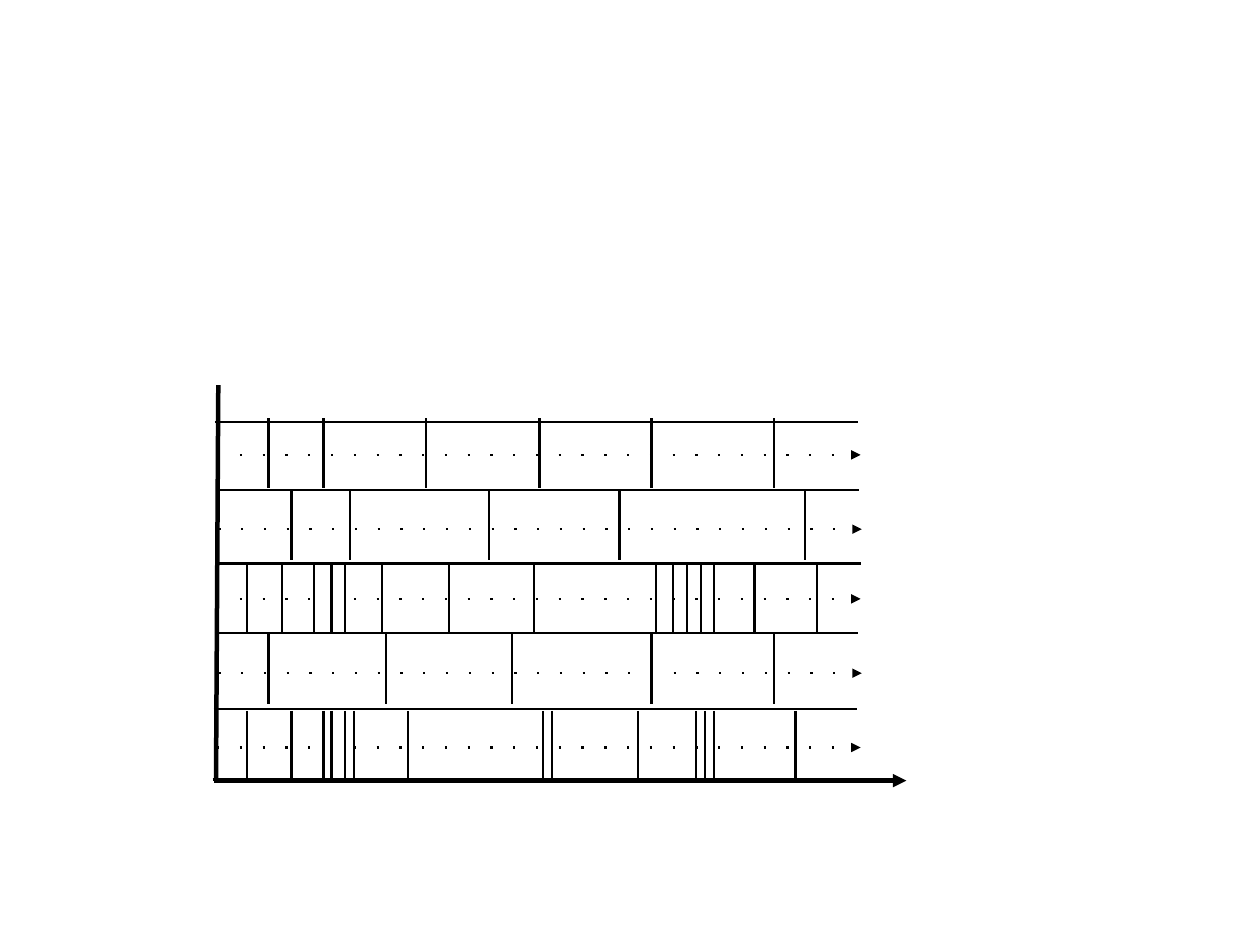
from dataclasses import dataclass
from typing import NamedTuple

from lxml import etree
from pptx import Presentation
from pptx.dml.color import RGBColor
from pptx.enum.shapes import MSO_CONNECTOR
from pptx.oxml.ns import qn
from pptx.slide import Slide
from pptx.util import Cm, Inches, Pt

STRAIGHT = MSO_CONNECTOR.STRAIGHT
SLIDE_WIDTH = Cm(28)
SLIDE_HEIGHT = Cm(21)
GRID_CELL = Inches(0.1)
LANE_LENGTH = 56.3
TICK_HEIGHT = 6.1


@dataclass(frozen=True)
class Theme:
    ink: RGBColor = RGBColor(0, 0, 0)
    background: RGBColor = RGBColor(255, 255, 255)
    axis_width: float = 2.83
    line_width: float = 1.42
    dot_length: str = "100000"
    dot_gap: str = "912000"


THEME = Theme()


class GridPoint(NamedTuple):
    column: float
    row: float


@dataclass(frozen=True)
class Lane:
    border: GridPoint
    arrow: GridPoint
    tick_top: float
    ticks: tuple[float, ...]


LANES = (
    Lane(GridPoint(18.8, 36.9), GridPoint(19.0, 39.8), 36.6,
         (23.5, 28.3, 37.3, 47.2, 57.0, 67.7)),
    Lane(GridPoint(18.9, 42.9), GridPoint(19.1, 46.3), 42.9,
         (25.5, 30.6, 42.8, 54.2, 70.4)),
    Lane(GridPoint(19.0, 49.3), GridPoint(19.0, 52.4), 49.2,
         (21.6, 24.7, 27.5, 29.0, 30.2, 33.4, 39.3, 46.7,
          57.4, 58.9, 60.1, 61.3, 62.5, 66.0, 71.5)),
    Lane(GridPoint(18.8, 55.4), GridPoint(19.1, 58.9), 55.5,
         (23.5, 33.8, 44.8, 57.0, 67.7)),
    Lane(GridPoint(18.7, 62.0), GridPoint(19.0, 65.4), 62.2,
         (21.6, 25.5, 28.3, 29.0, 30.2, 31.0, 35.7, 47.5,
          48.3, 55.8, 60.9, 61.7, 62.5, 69.6)),
)
BOTTOM_BORDER = GridPoint(18.6, 68.2)
ORIGIN = GridPoint(18.9, 68.3)


def draw_line(slide: Slide, start: GridPoint, end: GridPoint, *,
              width: float = THEME.line_width, dotted: bool = False,
              arrowhead: bool = False) -> None:
    coordinates = [round(value * GRID_CELL) for value in (*start, *end)]
    connector = slide.shapes.add_connector(STRAIGHT, *coordinates)
    connector.line.color.rgb = THEME.ink
    connector.line.width = Pt(width)
    properties = connector._element.spPr
    line = properties.find(qn("a:ln"))
    if dotted:
        dash = etree.SubElement(line, qn("a:custDash"))
        etree.SubElement(dash, qn("a:ds"), d=THEME.dot_length, sp=THEME.dot_gap)
    if arrowhead:
        etree.SubElement(line, qn("a:tailEnd"), type="triangle")
    etree.SubElement(properties, qn("a:effectLst"))


def draw_horizontal(slide: Slide, start: GridPoint, *, dotted_arrow: bool = False) -> None:
    end = GridPoint(start.column + LANE_LENGTH, start.row)
    draw_line(slide, start, end, dotted=dotted_arrow, arrowhead=dotted_arrow)


def draw_lane(slide: Slide, lane: Lane) -> None:
    draw_horizontal(slide, lane.border)
    draw_horizontal(slide, lane.arrow, dotted_arrow=True)
    for column in lane.ticks:
        draw_line(slide, GridPoint(column, lane.tick_top),
                  GridPoint(column, lane.tick_top + TICK_HEIGHT))


def draw_axes(slide: Slide) -> None:
    draw_line(slide, GridPoint(18.7, ORIGIN.row), GridPoint(79.3, ORIGIN.row),
              width=THEME.axis_width, arrowhead=True)
    draw_line(slide, ORIGIN, GridPoint(19.1, 33.7), width=THEME.axis_width)


def main() -> None:
    presentation = Presentation()
    presentation.slide_width = SLIDE_WIDTH
    presentation.slide_height = SLIDE_HEIGHT
    slide = presentation.slides.add_slide(presentation.slide_layouts[6])
    slide.background.fill.solid()
    slide.background.fill.fore_color.rgb = THEME.background
    draw_axes(slide)
    for lane in LANES:
        draw_lane(slide, lane)
    draw_horizontal(slide, BOTTOM_BORDER)
    presentation.save("out.pptx")


if __name__ == "__main__":
    main()
